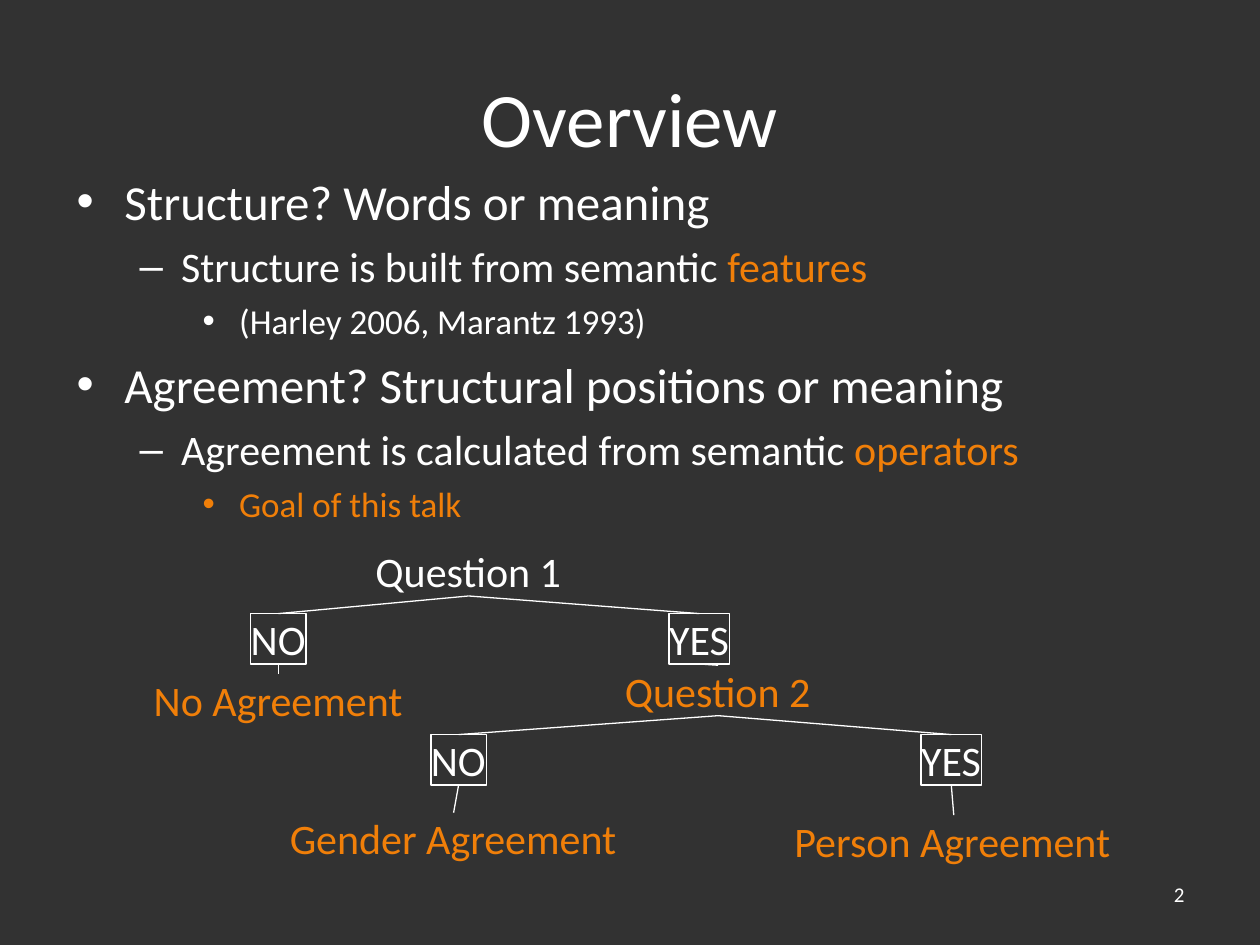
from dataclasses import dataclass

from lxml import etree
from pptx import Presentation
from pptx.dml.color import RGBColor
from pptx.enum.shapes import MSO_CONNECTOR, MSO_SHAPE
from pptx.enum.text import MSO_ANCHOR, MSO_AUTO_SIZE, PP_ALIGN
from pptx.oxml.ns import qn
from pptx.util import Inches, Pt

RECTANGLE = MSO_SHAPE.RECTANGLE
STRAIGHT = MSO_CONNECTOR.STRAIGHT
TOP, MIDDLE = MSO_ANCHOR.TOP, MSO_ANCHOR.MIDDLE
FIT_SHAPE = MSO_AUTO_SIZE.SHAPE_TO_FIT_TEXT
LEFT, CENTER, RIGHT = PP_ALIGN.LEFT, PP_ALIGN.CENTER, PP_ALIGN.RIGHT


@dataclass(frozen=True)
class Theme:
    background: str = "323232"
    text: str = "FFFFFF"
    accent: str = "F07F09"
    font: str = "Calibri"
    title_size: int = 44
    node_size: int = 24
    number_size: int = 12
    line_width: float = 0.75


@dataclass(frozen=True)
class Level:
    bullet: str
    indent: float
    hanging: float
    size: int
    space_before: int


@dataclass(frozen=True)
class Node:
    """A tree label placed by its horizontal centre and its top, in inches."""
    label: str
    center: float
    top: float
    width: float
    color: str
    boxed: bool = False


THEME = Theme()
LEVELS = (
    Level("•", 0.38, 0.38, 28, 7),
    Level("–", 0.83, 0.33, 24, 6),
    Level("•", 1.29, 0.29, 20, 5),
)
OUTLINE = (
    (0, [("Structure? Words or meaning", THEME.text)]),
    (1, [("Structure is built from semantic ", THEME.text), ("features", THEME.accent)]),
    (2, [("(Harley 2006, Marantz 1993)", THEME.text)]),
    (0, [("Agreement? Structural positions or meaning", THEME.text)]),
    (1, [("Agreement is calculated from semantic ", THEME.text), ("operators", THEME.accent)]),
    (2, [("Goal of this talk", THEME.accent)]),
)

NODE_HEIGHT = 0.4
NODES = {
    "question 1": Node("Question 1", 3.72, 4.33, 1.48, THEME.text),
    "no 1": Node("NO", 2.21, 4.87, 0.44, THEME.text, True),
    "yes 1": Node("YES", 5.55, 4.87, 0.48, THEME.text, True),
    "none": Node("No Agreement", 2.21, 5.35, 1.98, THEME.accent),
    "question 2": Node("Question 2", 5.7, 5.28, 1.48, THEME.accent),
    "no 2": Node("NO", 3.64, 5.83, 0.44, THEME.text, True),
    "yes 2": Node("YES", 7.55, 5.83, 0.48, THEME.text, True),
    "gender": Node("Gender Agreement", 3.6, 6.45, 2.6, THEME.accent),
    "person": Node("Person Agreement", 7.57, 6.47, 2.53, THEME.accent),
}
BRANCHES = {
    "question 1": ("no 1", "yes 1"),
    "no 1": ("none",),
    "yes 1": ("question 2",),
    "question 2": ("no 2", "yes 2"),
    "no 2": ("gender",),
    "yes 2": ("person",),
}


def add_run(paragraph, text, size, color):
    run = paragraph.add_run()
    run.text = text
    run.font.name = THEME.font
    run.font.size = Pt(size)
    run.font.color.rgb = RGBColor.from_string(color)


def add_text_frame(slide, left, top, width, height, anchor=TOP):
    box = slide.shapes.add_textbox(Inches(left), Inches(top), Inches(width), Inches(height))
    frame = box.text_frame
    frame.word_wrap = True
    frame.vertical_anchor = anchor
    return frame


def add_label(slide, bounds, text, size, align, anchor=TOP):
    paragraph = add_text_frame(slide, *bounds, anchor).paragraphs[0]
    paragraph.alignment = align
    add_run(paragraph, text, size, THEME.text)


def set_bullet(paragraph, level, color):
    properties = paragraph._p.get_or_add_pPr()
    properties.set("marL", str(Inches(level.indent)))
    properties.set("indent", str(-Inches(level.hanging)))
    bullet_color = etree.SubElement(properties, qn("a:buClr"))
    etree.SubElement(bullet_color, qn("a:srgbClr"), val=color)
    etree.SubElement(properties, qn("a:buFont"), typeface="Arial")
    etree.SubElement(properties, qn("a:buChar"), char=level.bullet)


def add_outline(slide):
    frame = add_text_frame(slide, 0.51, 1.31, 9, 5.91)
    for index, (depth, runs) in enumerate(OUTLINE):
        level = LEVELS[depth]
        paragraph = frame.add_paragraph() if index else frame.paragraphs[0]
        paragraph.level = depth
        set_bullet(paragraph, level, runs[0][1])
        paragraph.space_before = Pt(level.space_before if index else 0)
        for text, color in runs:
            add_run(paragraph, text, level.size, color)


def add_node(slide, node):
    bounds = [Inches(value) for value in
              (node.center - node.width / 2, node.top, node.width, NODE_HEIGHT)]
    if node.boxed:
        shape = slide.shapes.add_shape(RECTANGLE, *bounds)
        shape.shadow.inherit = False
        shape.fill.background()
        shape.line.color.rgb = RGBColor.from_string(THEME.text)
        shape.line.width = Pt(THEME.line_width)
    else:
        shape = slide.shapes.add_textbox(*bounds)
    frame = shape.text_frame
    frame.margin_left = frame.margin_right = frame.margin_top = frame.margin_bottom = 0
    frame.word_wrap = False
    frame.auto_size = FIT_SHAPE
    frame.vertical_anchor = MIDDLE
    frame.paragraphs[0].alignment = LEFT
    add_run(frame.paragraphs[0], node.label, THEME.node_size, node.color)


def add_branch(slide, parent, child):
    """Join the bottom centre of the parent to the top centre of the child."""
    line = slide.shapes.add_connector(
        STRAIGHT, Inches(parent.center), Inches(parent.top + NODE_HEIGHT),
        Inches(child.center), Inches(child.top))
    line.line.color.rgb = RGBColor.from_string(THEME.text)
    line.line.width = Pt(THEME.line_width)
    etree.SubElement(line._element.spPr, qn("a:effectLst"))


def add_tree(slide):
    for node in NODES.values():
        add_node(slide, node)
    for parent, children in BRANCHES.items():
        for child in children:
            add_branch(slide, NODES[parent], NODES[child])


def main():
    deck = Presentation()
    deck.slide_width, deck.slide_height = Inches(10), Inches(7.5)
    slide = deck.slides.add_slide(deck.slide_layouts[6])
    slide.background.fill.solid()
    slide.background.fill.fore_color.rgb = RGBColor.from_string(THEME.background)
    add_label(slide, (0.5, 0.3, 9, 1.25), "Overview", THEME.title_size, CENTER, MIDDLE)
    add_outline(slide)
    add_tree(slide)
    add_label(slide, (7.17, 6.95, 2.33, 0.4), "2", THEME.number_size, RIGHT)
    deck.save("out.pptx")


if __name__ == "__main__":
    main()
